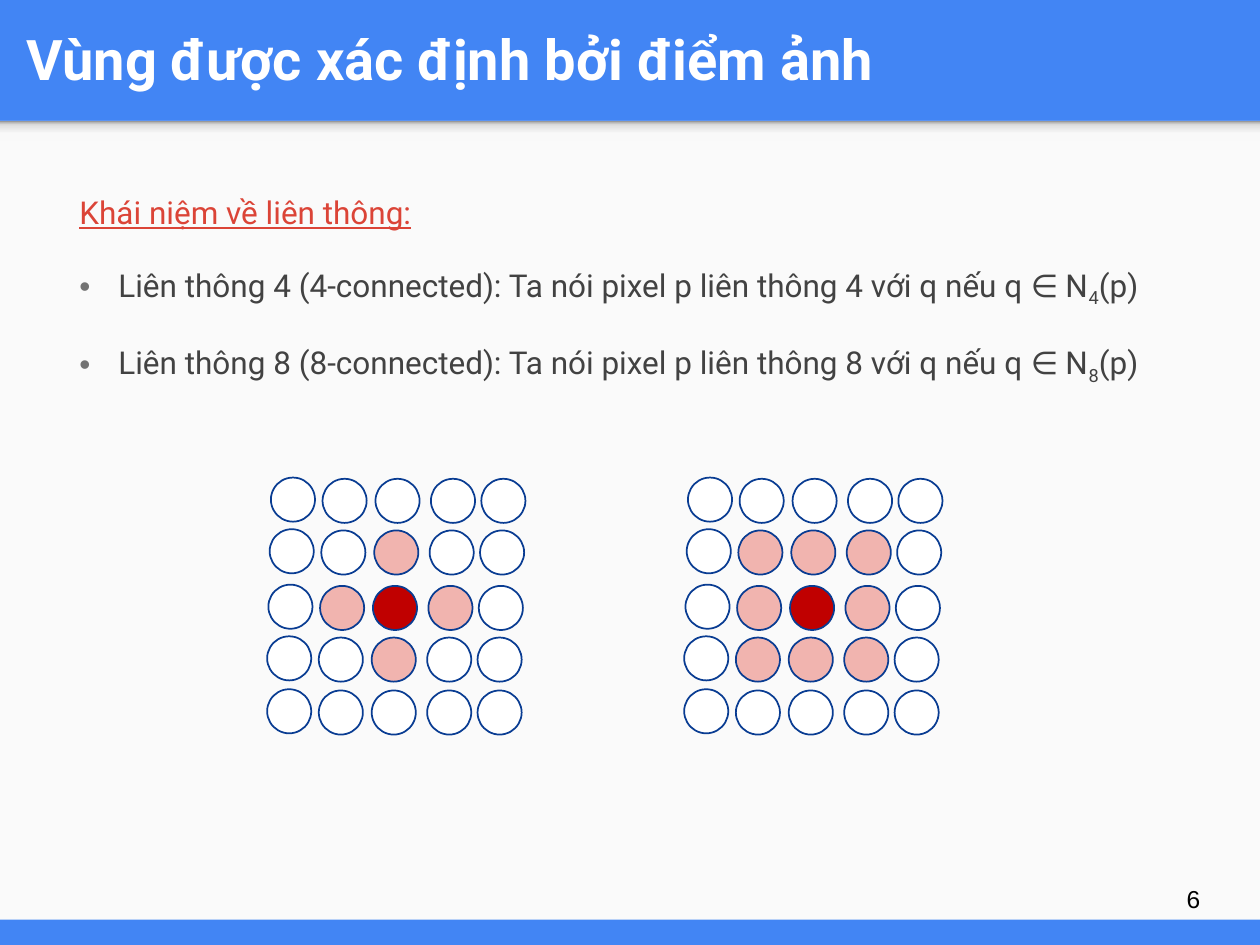
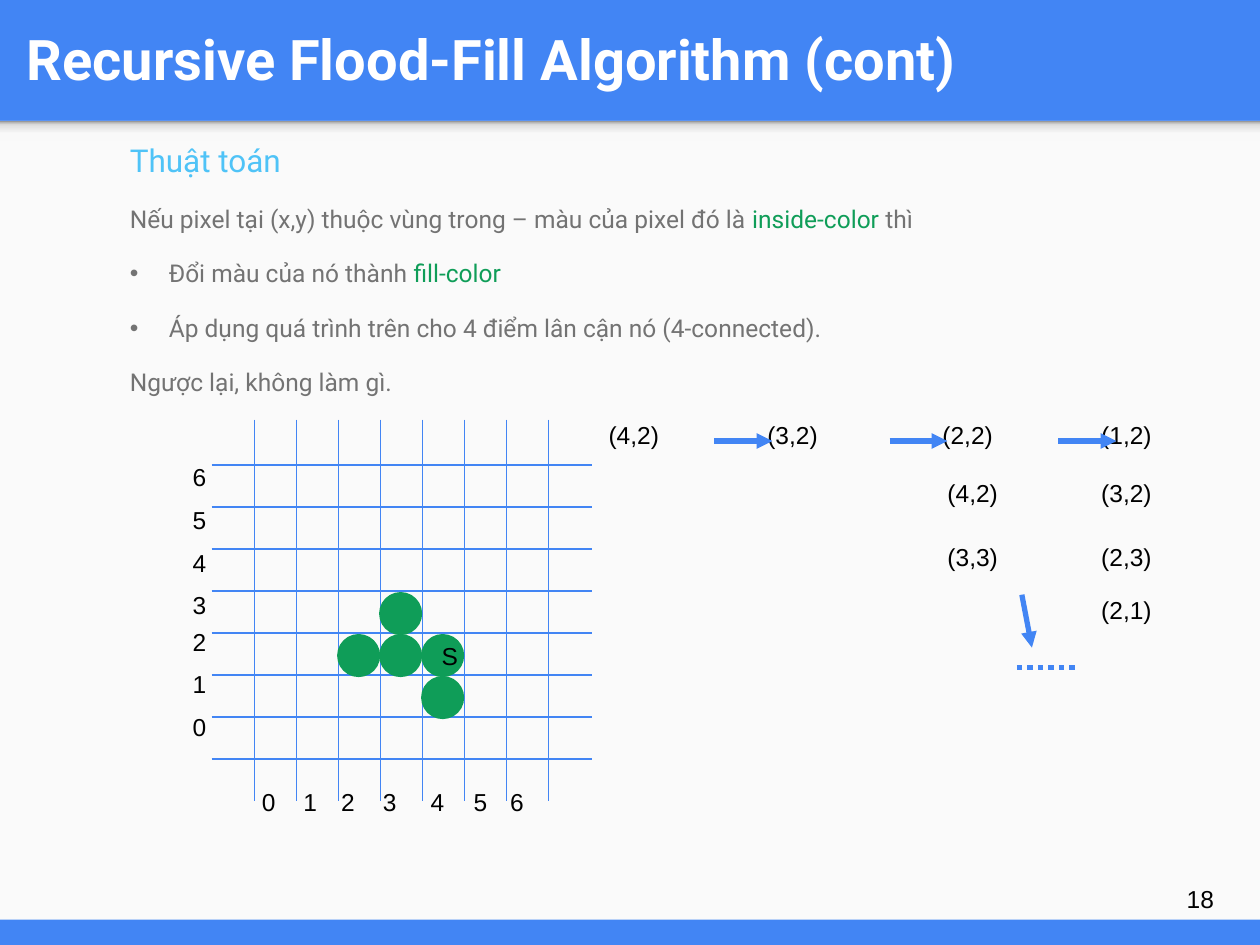
from dataclasses import dataclass
from itertools import product
from lxml.etree import SubElement
from pptx import Presentation
from pptx.dml.color import RGBColor
from pptx.enum.dml import MSO_LINE
from pptx.enum.shapes import MSO_CONNECTOR, MSO_SHAPE
from pptx.enum.text import MSO_ANCHOR, MSO_AUTO_SIZE, PP_ALIGN
from pptx.oxml.ns import qn
from pptx.util import Inches, Pt

HUES = {
    "blue": "4285F4", "page": "FAFAFA", "white": "FFFFFF", "black": "000000",
    "red": "DB4437", "dark": "424242", "gray": "737373", "sky": "4FC3F7",
    "green": "0F9D58", "navy": "093C92", "pink": "F1B4AF", "core": "C00000",
}
SHADE = [(0, "F9F9F9"), (36, "F9F9F9"), (80, "DEDEDE"), (100, "999999")]
HEAD, BASE = "Roboto", "Arial"


@dataclass
class Run:
    text: str
    hue: str
    size: int = 14
    font: str = HEAD
    bold: bool = False
    under: bool = False
    sub: bool = False


@dataclass
class Para:
    runs: list[Run]
    level: int = 0
    dot: bool = False


@dataclass
class Label:
    text: str
    left: float
    top: float
    width: float = 0.97
    height: float = 0.4
    inset: tuple[float, float] = (0, 0)
    grow: bool = True


@dataclass
class Line:
    start: tuple[float, float]
    end: tuple[float, float]
    width: int = 1
    arrow: bool = False
    dots: bool = False


def color(name: str) -> RGBColor:
    return RGBColor.from_string(HUES[name])


def place(shape, left: float, top: float, width: float, height: float) -> None:
    shape.left, shape.top = Inches(left), Inches(top)
    shape.width, shape.height = Inches(width), Inches(height)


def pad(frame, side: float, edge: float) -> None:
    frame.margin_left = frame.margin_right = Inches(side)
    frame.margin_top = frame.margin_bottom = Inches(edge)


def add_run(para, item: Run) -> None:
    run = para.add_run()
    run.text = item.text
    font = run.font
    font.name, font.size = item.font, Pt(item.size)
    font.bold, font.underline = item.bold, item.under
    font.color.rgb = color(item.hue)
    if item.sub:
        run._r.get_or_add_rPr().set("baseline", "-25000")


def add_form(shapes, kind, box: tuple, fill: str, edge: str = "", width: float = 1):
    shape = shapes.add_shape(kind, *map(Inches, box))
    shape.shadow.inherit = False
    shape.fill.solid()
    shape.fill.fore_color.rgb = color(fill)
    if edge:
        shape.line.color.rgb = color(edge)
        shape.line.width = Pt(width)
    else:
        shape.line.fill.background()
    return shape


def add_label(slide, item: Label) -> None:
    box = slide.shapes.add_textbox(*map(Inches, (item.left, item.top, item.width, item.height)))
    frame = box.text_frame
    frame.word_wrap = True
    pad(frame, *item.inset)
    if item.grow:
        frame.auto_size = MSO_AUTO_SIZE.SHAPE_TO_FIT_TEXT
    else:
        frame.vertical_anchor = MSO_ANCHOR.MIDDLE
    add_run(frame.paragraphs[0], Run(item.text, "black", font=BASE))


def add_line(slide, item: Line) -> None:
    link = slide.shapes.add_connector(
        MSO_CONNECTOR.STRAIGHT, *map(Inches, item.start + item.end))
    link.line.color.rgb = color("blue")
    link.line.width = Pt(item.width)
    if item.dots:
        link.line.dash_style = MSO_LINE.ROUND_DOT
    if item.arrow:
        SubElement(link.line._get_or_add_ln(), qn("a:tailEnd"), type="triangle")
    SubElement(link._element.spPr, qn("a:effectLst"))


def set_bullet(para, dot: bool) -> None:
    props = para._p.get_or_add_pPr()
    indent = Inches(0.31) if dot else 0
    props.set("marL", str(indent))
    props.set("indent", str(-indent))
    if dot:
        tint = SubElement(props, qn("a:buClr"))
        SubElement(tint, qn("a:srgbClr"), val=HUES["gray"])
        SubElement(props, qn("a:buFont"), typeface=BASE)
        SubElement(props, qn("a:buChar"), char="•")
    else:
        SubElement(props, qn("a:buNone"))


def fill_body(slide, left: float, top: float, space: float, paras: list[Para]) -> None:
    body = slide.placeholders[1]
    place(body, left, top, 8.99, 3.95)
    frame = body.text_frame
    pad(frame, 0.1, 0.1)
    frame.auto_size = MSO_AUTO_SIZE.NONE
    frame.vertical_anchor = MSO_ANCHOR.TOP
    for i, item in enumerate(paras):
        para = frame.add_paragraph() if i else frame.paragraphs[0]
        para.level = item.level
        set_bullet(para, item.dot)
        para.line_spacing = space
        para.space_before, para.space_after = Pt(0), Pt(16)
        for run in item.runs:
            add_run(para, run)


def add_slide(deck, title: str, page: str):
    slide = deck.slides.add_slide(deck.slide_layouts[1])
    frame = slide.shapes.title.text_frame
    para = frame.paragraphs[0]
    para.alignment = PP_ALIGN.LEFT
    add_run(para, Run(title, "white", 32, bold=True))
    add_label(slide, Label(page, 9.32, 6.85, 0.6, 0.57, (0.1, 0.1), False))
    return slide


def set_theme(deck) -> None:
    layout = deck.slide_layouts[1]
    layout.background.fill.solid()
    layout.background.fill.fore_color.rgb = color("blue")
    title = layout.placeholders[0]
    place(title, 0.11, 0.02, 9.65, 0.88)
    pad(title.text_frame, 0.1, 0.1)
    title.text_frame.auto_size = MSO_AUTO_SIZE.NONE
    title.text_frame.vertical_anchor = MSO_ANCHOR.MIDDLE


def add_bands(deck, slide) -> None:
    page = add_form(slide.shapes, MSO_SHAPE.RECTANGLE, (0, 0.96, 10, 6.34), "page")
    band = add_form(slide.shapes, MSO_SHAPE.RECTANGLE, (0, 0.96, 10, 0.16), "page")
    band.fill.gradient()
    band.fill.gradient_angle = 90
    stops = band._element.spPr.find(qn("a:gradFill")).find(qn("a:gsLst"))
    for stop in list(stops):
        stops.remove(stop)
    for spot, hue in SHADE:
        stop = SubElement(stops, qn("a:gs"), pos=str(spot * 1000))
        SubElement(stop, qn("a:srgbClr"), val=hue)
    tree = deck.slide_layouts[1].shapes._spTree
    for i, shape in enumerate((page, band)):
        tree.insert(2 + i, shape._element)


def add_dots(slide, left: float, rows: list[str]) -> None:
    group = slide.shapes.add_group_shape()
    cols = [0, 0.41, 0.83, 1.27, 1.67]
    tops = [3.8, 4.21, 4.65, 5.06, 5.48]
    skews = [0.03, 0.02, 0.01, 0, 0]
    fills = {".": "white", "o": "pink", "X": "core"}
    for r, c in product(range(5), range(5)):
        top = tops[r] - (0 if c else 0.01)
        box = (left + skews[r] + cols[c], top, 0.35, 0.35)
        add_form(group.shapes, MSO_SHAPE.OVAL, box, fills[rows[r][c]], "navy")


def link_para(count: str) -> Para:
    text = (f"Liên thông {count} ({count}-connected): "
            f"Ta nói pixel p liên thông {count} với q nếu q ∈ N")
    return Para([Run(text, "dark", 18), Run(count, "dark", 18, sub=True),
                 Run("(p)", "dark", 18)], 1, True)


def build_links(deck) -> None:
    slide = add_slide(deck, "Vùng được xác định bởi điểm ảnh", "6")
    add_bands(deck, slide)
    head = Para([Run("Khái niệm về liên thông:", "red", 18, under=True)])
    fill_body(slide, 0.53, 1.39, 1.15, [head, link_para("4"), link_para("8")])
    add_dots(slide, 2.12, [".....", "..o..", ".oXo.", "..o..", "....."])
    add_dots(slide, 5.43, [".....", ".ooo.", ".oXo.", ".ooo.", "....."])


def add_grid(slide) -> None:
    step = 1 / 3
    for i in range(8):
        row, col = 3.69 + i * step, 2.02 + i * step
        add_line(slide, Line((1.68, row), (4.7, row)))
        add_line(slide, Line((col, 3.33), (col, 6.36)))
    lefts = [1.98, 2.31, 2.61, 2.94, 3.32, 3.66, 3.95]
    tops = [5.6, 5.26, 4.93, 4.63, 4.3, 3.96, 3.62]
    for i, (left, top) in enumerate(zip(lefts, tops)):
        for x, y in ((left, 6.2), (1.43, top)):
            add_label(slide, Label(str(i), x, y, 0.42, 0.5, (0.1, 0.05)))
    for x, y in ((4, 1), (3, 3), (2, 2), (3, 2), (4, 2)):
        box = (2.03 + x * step, 5.72 - y * step, 0.3, 0.3)
        seed = add_form(slide.shapes, MSO_SHAPE.OVAL, box, "green", "green", 3)
    frame = seed.text_frame
    frame.word_wrap = False
    frame.vertical_anchor = MSO_ANCHOR.MIDDLE
    frame.paragraphs[0].alignment = PP_ALIGN.LEFT
    add_run(frame.paragraphs[0], Run("S", "black", font=BASE))


def add_calls(slide) -> None:
    calls = [
        Label("(4,2)", 4.83, 3.33), Label("(3,2)", 6.09, 3.33),
        Label("(2,2)", 7.48, 3.33), Label("(1,2)", 8.74, 3.33),
        Label("(4,2)", 7.52, 3.79), Label("(3,2)", 8.74, 3.79),
        Label("(3,3)", 7.52, 4.3), Label("(2,3)", 8.74, 4.3),
        Label("(2,1)", 8.74, 4.72),
    ]
    for call in calls:
        add_label(slide, call)
    for left in (5.67, 7.06, 8.4):
        add_line(slide, Line((left, 3.5), (left + 0.46, 3.5), 3, arrow=True))
    add_line(slide, Line((8.11, 4.72), (8.19, 5.14), 3, arrow=True))
    add_line(slide, Line((8.07, 5.3), (8.57, 5.3), 3, dots=True))


def build_flood(deck) -> None:
    slide = add_slide(deck, "Recursive Flood-Fill Algorithm (cont)", "18")
    test = "Nếu pixel tại (x,y) thuộc vùng trong – màu của pixel đó là "
    near = "Áp dụng quá trình trên cho 4 điểm lân cận nó (4-connected)."
    fill_body(slide, 0.93, 1.05, 0.9, [
        Para([Run("Thuật toán", "sky", 18)]),
        Para([Run(test, "gray"), Run("inside-color ", "green"), Run("thì", "gray")], 1),
        Para([Run("Đổi màu của nó thành ", "gray"), Run("fill-color", "green")], 2, True),
        Para([Run(near, "gray")], 2, True),
        Para([Run("Ngược lại, không làm gì.", "gray")], 1),
    ])
    add_grid(slide)
    add_calls(slide)


def main() -> None:
    deck = Presentation()
    deck.slide_width, deck.slide_height = Inches(10), Inches(7.5)
    set_theme(deck)
    build_links(deck)
    build_flood(deck)
    deck.save("out.pptx")


if __name__ == "__main__":
    main()
